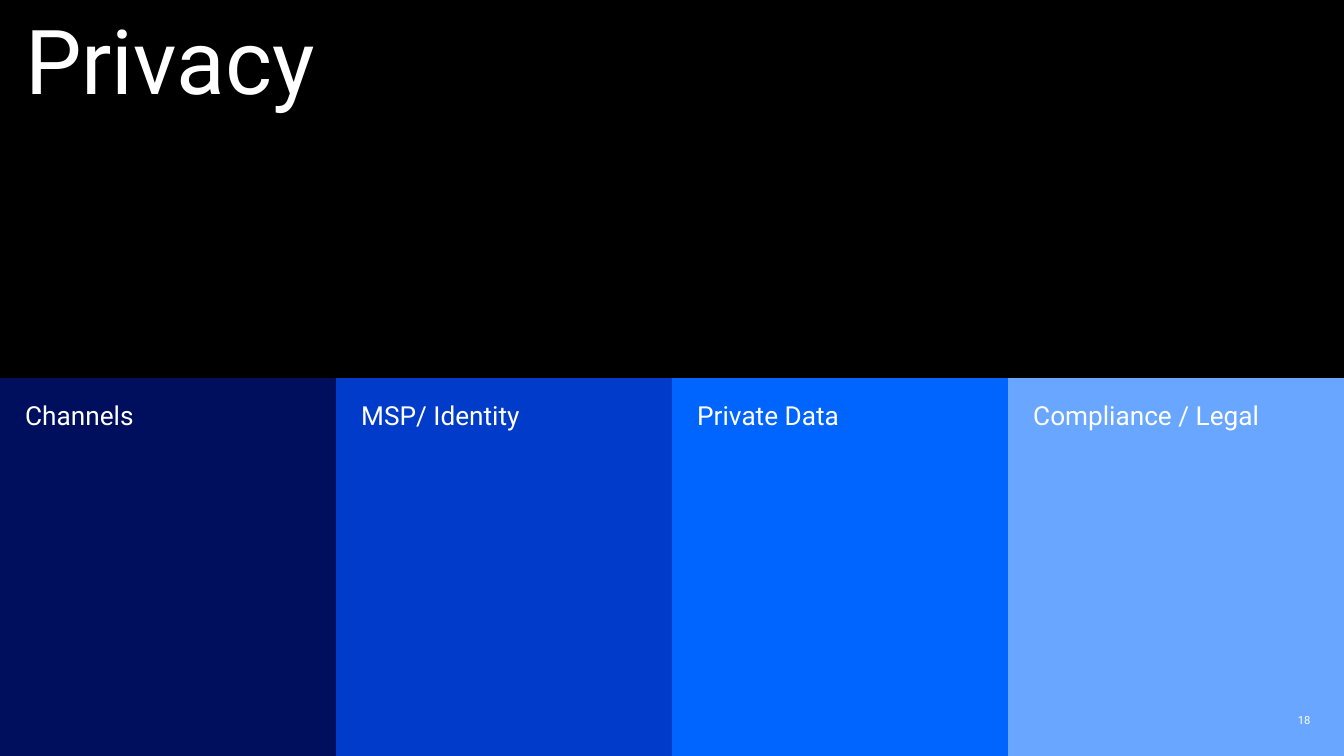
from pptx import Presentation
from pptx.dml.color import RGBColor
from pptx.enum.shapes import MSO_SHAPE
from pptx.enum.text import MSO_ANCHOR, PP_ALIGN
from pptx.util import Inches, Pt

RECTANGLE = MSO_SHAPE.RECTANGLE
TOP, MIDDLE = MSO_ANCHOR.TOP, MSO_ANCHOR.MIDDLE
LEFT, RIGHT = PP_ALIGN.LEFT, PP_ALIGN.RIGHT

SLIDE_WIDTH, SLIDE_HEIGHT = Inches(13.33), Inches(7.5)
WHITE, BLACK, NAVY = "FFFFFF", "000000", "000E5E"
TOPICS = [
    ("Channels", NAVY),
    ("MSP/ Identity", "003BC9"),
    ("Private Data", "0064FF"),
    ("Compliance / Legal", "69A6FF"),
]
COLUMNS, ROWS = len(TOPICS), 2


def paint(color_format, color):
    color_format.rgb = RGBColor.from_string(color)


def fill_solid(fill, color):
    fill.solid()
    paint(fill.fore_color, color)


def write_text(shape, text, size, insets, anchor=TOP, alignment=LEFT, line_spacing=1.0):
    frame = shape.text_frame
    left, top, right, bottom = map(Inches, insets)
    frame_format = {
        "word_wrap": True,
        "vertical_anchor": anchor,
        "margin_left": left,
        "margin_top": top,
        "margin_right": right,
        "margin_bottom": bottom,
    }
    for name, value in frame_format.items():
        setattr(frame, name, value)
    paragraph = frame.paragraphs[0]
    paragraph.alignment = alignment
    paragraph.line_spacing = line_spacing
    run = paragraph.add_run()
    run.text = text
    for name, value in {"name": "Roboto", "size": Pt(size)}.items():
        setattr(run.font, name, value)
    paint(run.font.color, WHITE)


def add_panel(slide, column, row, column_span, color):
    width, height = SLIDE_WIDTH / COLUMNS, SLIDE_HEIGHT / ROWS
    left, right = round(column * width), round((column + column_span) * width)
    panel = slide.shapes.add_shape(
        RECTANGLE, left, round(row * height), right - left, round(height)
    )
    panel.shadow.inherit = False
    fill_solid(panel.fill, color)
    panel.line.fill.background()
    return panel


def add_page_number(slide, number):
    box = slide.shapes.add_textbox(
        round(SLIDE_WIDTH * 0.75), Inches(7.04), Inches(3), Inches(0.2)
    )
    write_text(box, number, 8, (0, 0, 0, 0), MIDDLE, RIGHT)


def main():
    presentation = Presentation()
    presentation.slide_width, presentation.slide_height = SLIDE_WIDTH, SLIDE_HEIGHT
    slide = presentation.slides.add_slide(presentation.slide_layouts[6])
    fill_solid(slide.background.fill, NAVY)

    title = add_panel(slide, 0, 0, COLUMNS, BLACK)
    write_text(title, "Privacy", 64, (0.25, 0.17, 0.25, 0.25), line_spacing=0.9)
    for column, (topic, color) in enumerate(TOPICS):
        panel = add_panel(slide, column, 1, 1, color)
        write_text(panel, topic, 18.7, (0.25, 0.21, 0.25, 0.25))
    add_page_number(slide, "18")

    presentation.save("out.pptx")


if __name__ == "__main__":
    main()
